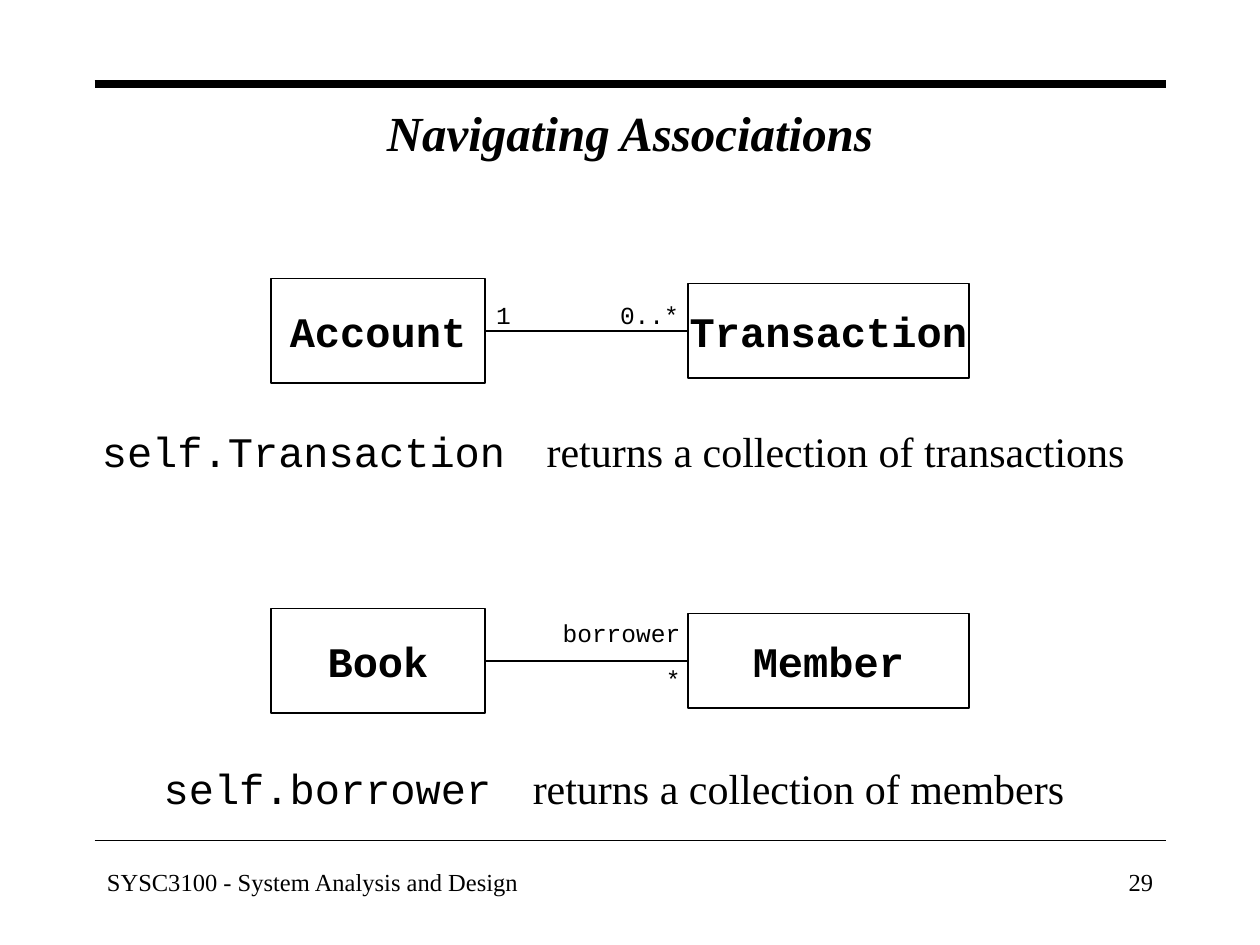
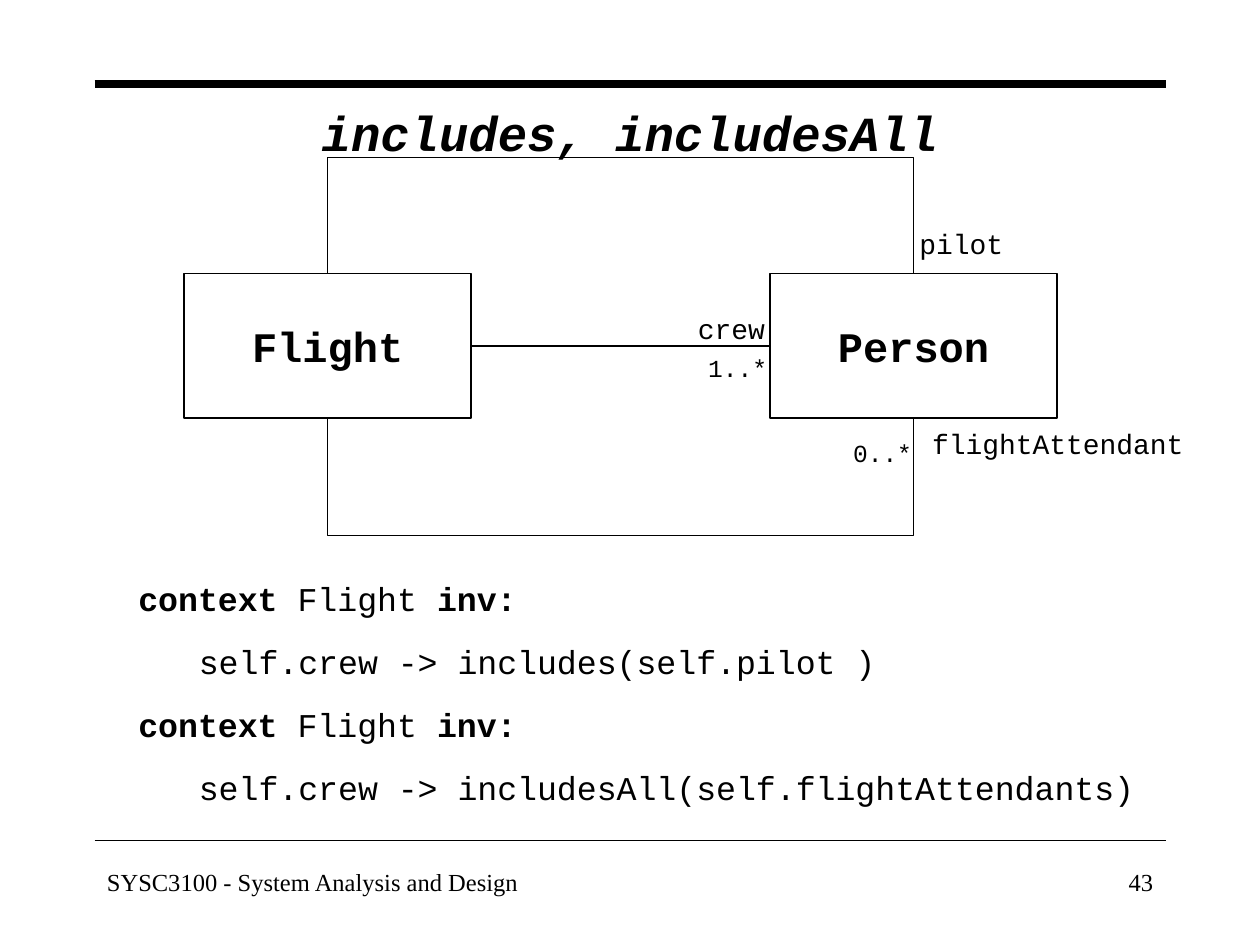
from lxml import etree
from pptx import Presentation
from pptx.dml.color import RGBColor
from pptx.enum.shapes import MSO_CONNECTOR, MSO_SHAPE
from pptx.enum.text import MSO_ANCHOR, MSO_AUTO_SIZE, PP_ALIGN
from pptx.oxml.ns import qn
from pptx.util import Inches, Pt

BLACK = RGBColor(0x00, 0x00, 0x00)
SERIF = "Times New Roman"
MONO = "Courier New"
LEFT, CENTER, RIGHT = PP_ALIGN.LEFT, PP_ALIGN.CENTER, PP_ALIGN.RIGHT
MIDDLE, TOP = MSO_ANCHOR.MIDDLE, MSO_ANCHOR.TOP
NO_AUTOFIT = MSO_AUTO_SIZE.NONE
STRAIGHT = MSO_CONNECTOR.STRAIGHT
RECTANGLE = MSO_SHAPE.RECTANGLE
TITLE_ONLY = 5
LEFT_SIDE, RIGHT_SIDE = 1, 3
FOOTER = "SYSC3100 - System Analysis and Design"
FIRST_GAP, NEXT_GAP = 0.3, 0.7  # space before, as a share of the text size


class LectureDeck:
    def __init__(self):
        self.deck = Presentation()
        self.deck.slide_width, self.deck.slide_height = Inches(10), Inches(7.5)
        self.page = None

    def add_page(self, title, number, font=SERIF, top=0.67, height=0.75):
        """Start a slide with its title, rules and footer."""
        layout = self.deck.slide_layouts[TITLE_ONLY]
        self.page = self.deck.slides.add_slide(layout)
        for y, weight in ((0.67, 4.5), (6.67, 1)):
            self.line((0.75, y), (9.25, y), weight)
        heading = self.page.shapes.title
        heading.left, heading.top = Inches(0.75), Inches(top)
        heading.width, heading.height = Inches(8.5), Inches(height)
        self.fill_text(heading, [[(title, {"bold": True, "italic": True})]],
                       28, font=font, spaced=False)
        for place, words, align in (
                ((0.75, 6.83, 5.75, 0.5), FOOTER, LEFT),
                ((7.17, 6.83, 2.08, 0.5), str(number), RIGHT)):
            self.text(place, words, 14, font=SERIF, align=align,
                      anchor=TOP, wrap=True, spaced=False)

    def fill_text(self, shape, paragraphs, size, font=MONO, align=CENTER,
                  anchor=MIDDLE, wrap=True, spaced=True):
        """Fill a shape with paragraphs, each a list of (text, format) spans."""
        frame = shape.text_frame
        frame.word_wrap, frame.auto_size = wrap, NO_AUTOFIT
        frame.vertical_anchor = anchor
        for index, spans in enumerate(paragraphs):
            para = frame.add_paragraph() if index else frame.paragraphs[0]
            para.alignment = align
            if spaced:
                para.space_before = Pt(size * (NEXT_GAP if index else FIRST_GAP))
            for words, changes in spans:
                span = para.add_run()
                span.text = words
                span.font.color.rgb = BLACK
                look = {"name": font, "size": Pt(size), "bold": False,
                        "italic": False, **changes}
                for key, value in look.items():
                    setattr(span.font, key, value)
        return frame

    def text(self, place, content, size, wrap=False, **options):
        box = self.page.shapes.add_textbox(*map(Inches, place))
        if isinstance(content, str):
            content = [[(content, {})]]
        return self.fill_text(box, content, size, wrap=wrap, **options)

    def outline(self, shape):
        shape.shadow.inherit = False
        shape.fill.background()
        shape.line.color.rgb = BLACK
        shape.line.width = Pt(1)

    def class_box(self, place, name):
        box = self.page.shapes.add_shape(RECTANGLE, *map(Inches, place))
        self.outline(box)
        self.fill_text(box, [[(name, {"bold": True})]], 24, wrap=False)
        return box

    def line(self, start, end, weight=1):
        line = self.page.shapes.add_connector(
            STRAIGHT, *map(Inches, (*start, *end)))
        line.line.color.rgb = BLACK
        line.line.width = Pt(weight)
        etree.SubElement(line._element.spPr, qn("a:effectLst"))
        return line

    def associate(self, source, target):
        line = self.line((0, 0), (1, 1))
        line.begin_connect(source, RIGHT_SIDE)
        line.end_connect(target, LEFT_SIDE)

    def bracket(self, left, right, near, far):
        """Draw a three-sided outline that leaves and returns at height near."""
        builder = self.page.shapes.build_freeform(Inches(left), Inches(near))
        corners = ((left, far), (right, far), (right, near))
        builder.add_line_segments(
            [(Inches(x), Inches(y)) for x, y in corners], close=False)
        self.outline(builder.convert_to_shape())

    def result(self, place, expression, meaning, tab):
        """Show an expression and, at a tab stop, what it returns."""
        spans = [(expression, {}), ("\t" + meaning, {"name": SERIF})]
        frame = self.text(place, [spans], 24, align=LEFT, wrap=True)
        properties = frame.paragraphs[0]._p.get_or_add_pPr()
        stops = etree.SubElement(properties, qn("a:tabLst"))
        etree.SubElement(stops, qn("a:tab"), pos=str(Inches(tab)), algn="l")


def navigating_associations(lecture):
    lecture.add_page("Navigating Associations", 29)

    # Class pairs
    for top, source, target in ((2.21, "Account", "Transaction"),
                                (4.83, "Book", "Member")):
        source_box = lecture.class_box((2.15, top, 1.7, 0.83), source)
        target_box = lecture.class_box((5.46, top + 0.04, 2.23, 0.75), target)
        lecture.associate(source_box, target_box)

    # Multiplicities and role
    lecture.text((4.82, 2.33, 0.67, 0.34), "0..*", 14)
    lecture.text((3.84, 2.33, 0.31, 0.34), "1", 14)
    lecture.text((4.25, 4.86, 1.25, 0.69), [[("borrower", {})], [("*", {})]],
                 14, align=RIGHT, wrap=True)

    # Results of navigation
    lecture.result((0.71, 3.33, 8.4, 0.5), "self.Transaction",
                   "returns a collection of transactions", 3.53)
    lecture.result((1.2, 6, 7.45, 0.5), "self.borrower",
                   "returns a collection of members", 2.93)


def includes_operations(lecture):
    lecture.add_page("includes, includesAll", 43, font=MONO,
                     top=0.42, height=1.25)

    # Classes and their three associations
    flight = lecture.class_box((1.46, 2.17, 2.28, 1.15), "Flight")
    person = lecture.class_box((6.11, 2.17, 2.28, 1.15), "Person")
    lecture.associate(flight, person)
    for near, far in ((2.17, 1.25), (3.32, 4.25)):
        lecture.bracket(2.6, 7.25, near, far)

    # Roles and multiplicities
    for place, label, size in (
            ((7.2, 1.75, 0.86, 0.37), "pilot", 16),
            ((7.3, 3.33, 2.19, 0.37), "flightAttendant", 16),
            ((5.44, 2.42, 0.73, 0.37), "crew", 16),
            ((6.67, 3.42, 0.67, 0.34), "0..*", 14),
            ((5.52, 2.75, 0.67, 0.34), "1..*", 14)):
        lecture.text(place, label, size)

    # Constraints, with indented bodies
    bold = {"bold": True}
    context = [("context", bold), (" Flight ", {}), ("inv:", bold)]
    bodies = ("self.crew -> includes(self.pilot )",
              "self.crew -> includesAll(self.flightAttendants)")
    lines = [spans for body in bodies for spans in (context, [(body, {})])]
    frame = lecture.text((1, 4.57, 8.1, 1.86), lines, 19, align=LEFT)
    for para in frame.paragraphs[1::2]:
        para._p.get_or_add_pPr().set("marL", str(Inches(0.48)))


def main():
    lecture = LectureDeck()
    navigating_associations(lecture)
    includes_operations(lecture)
    lecture.deck.save("out.pptx")


if __name__ == "__main__":
    main()
